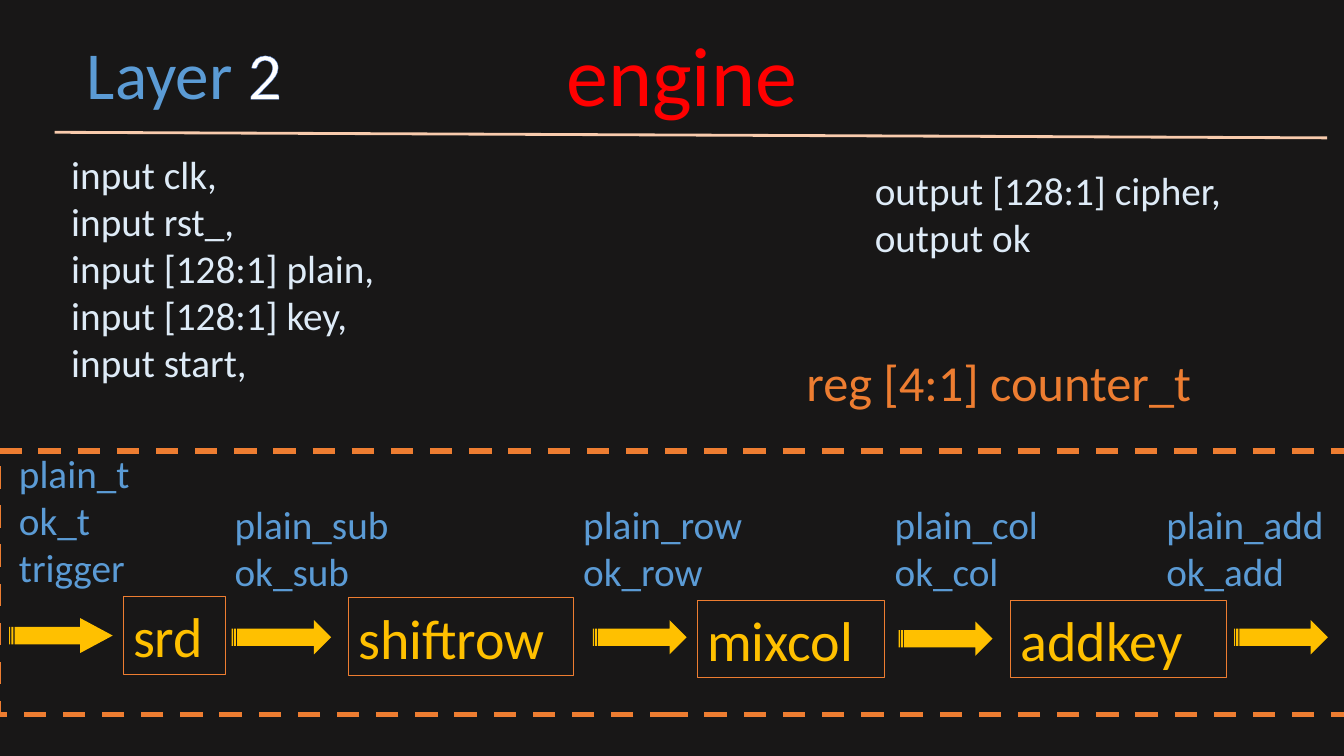
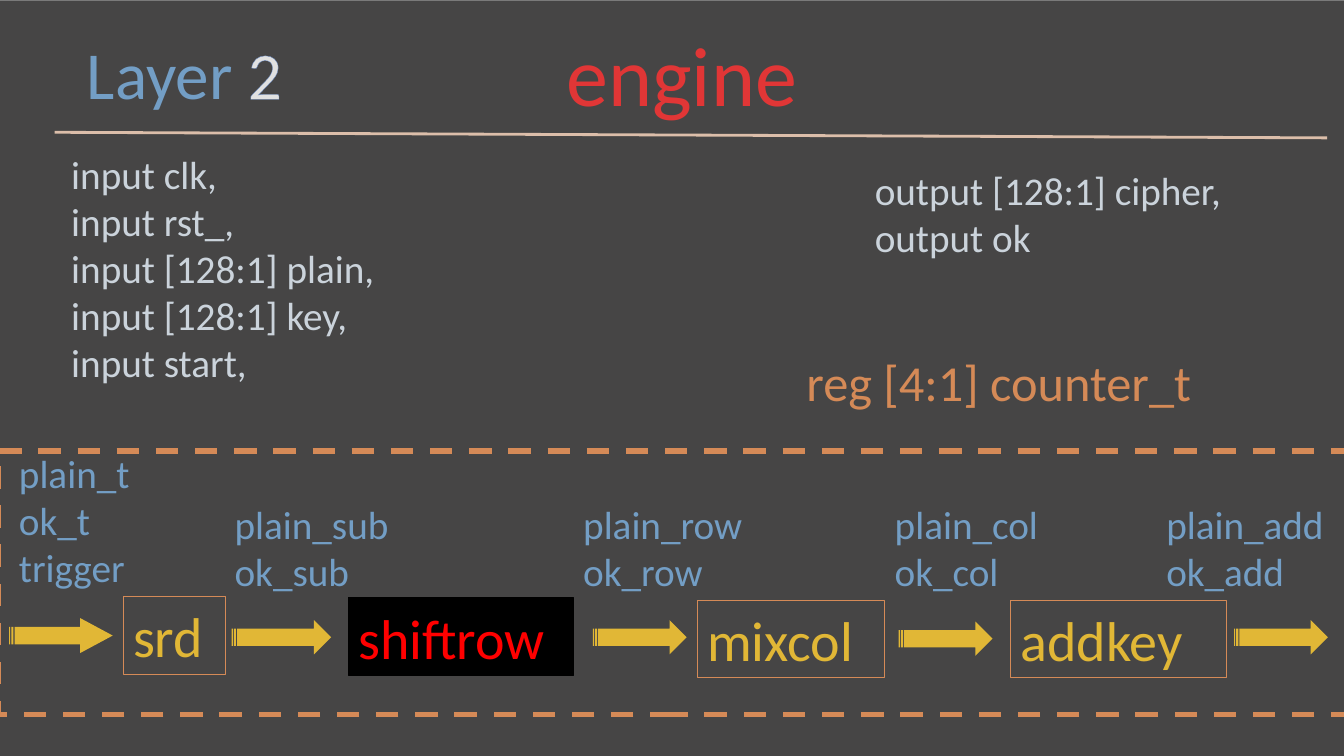
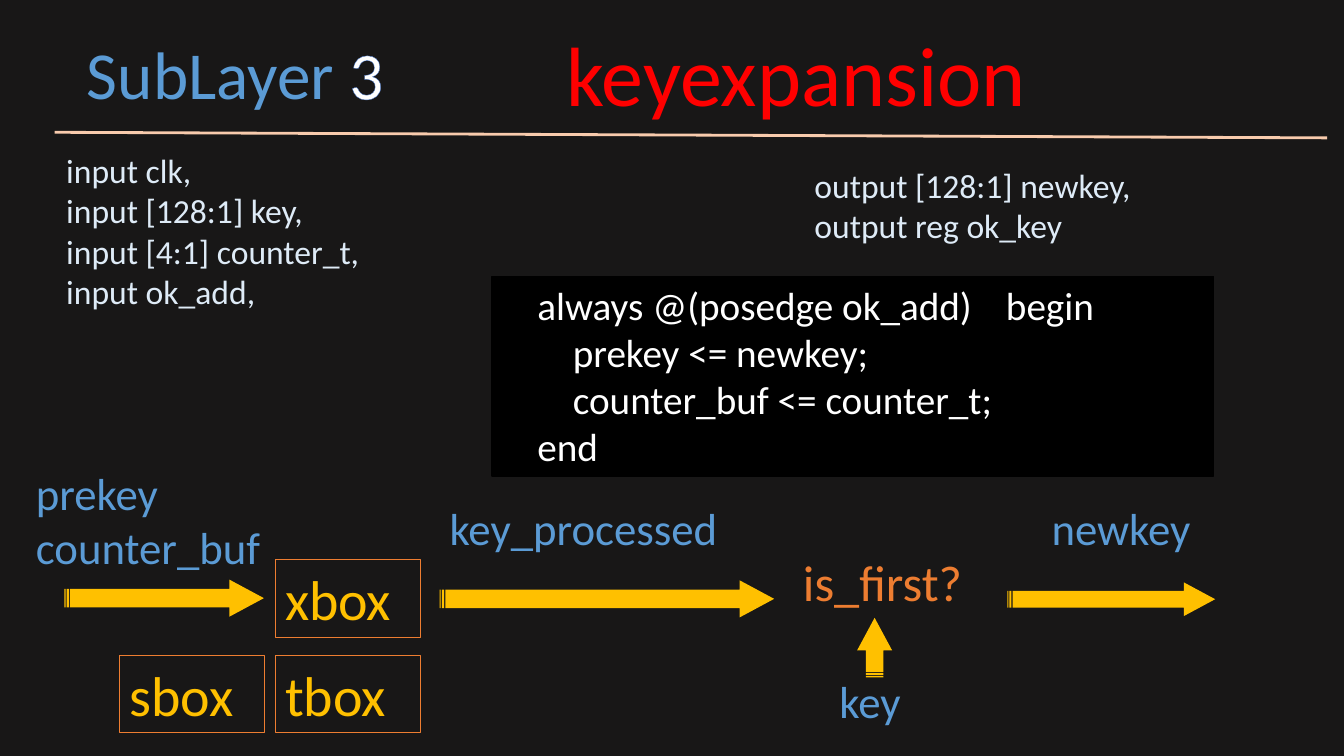
"""Build three slides that describe the layers of a cipher engine."""
from dataclasses import dataclass

from lxml.etree import SubElement
from pptx import Presentation
from pptx.dml.color import RGBColor
from pptx.enum.dml import MSO_LINE
from pptx.enum.shapes import MSO_CONNECTOR, MSO_SHAPE
from pptx.enum.text import MSO_ANCHOR, MSO_AUTO_SIZE, PP_ALIGN
from pptx.oxml import parse_xml
from pptx.oxml.ns import nsdecls, qn
from pptx.util import Pt


@dataclass(frozen=True)
class Theme:
    font: str = "Calibri"
    ground: str = "181717"
    signal: str = "5B9BD5"
    alert: str = "FF0000"
    port: str = "DEEBF7"
    rule: str = "F8CBAD"
    accent: str = "ED7D31"
    flow: str = "FFC000"
    white: str = "FFFFFF"
    black: str = "000000"
    number_outline: str = "4472C4"
    veil: str = "A5A5A5"
    veil_edge: str = "7A7A7A"
    title_size: int = 60
    layer_size: int = 48
    module_size: int = 40
    register_size: int = 36
    label_size: int = 32
    code_size: int = 28
    small_size: int = 24


THEME = Theme()
MODULE_HEIGHT = 55.5


def rgb(value):
    return RGBColor.from_string(value)


class Deck:
    def __init__(self):
        self.presentation = Presentation()
        self.presentation.slide_width = Pt(960)
        self.presentation.slide_height = Pt(540)
        ground = self.presentation.slide_master.background.fill
        ground.solid()
        ground.fore_color.rgb = rgb(THEME.ground)
        self.slide = None

    def new_slide(self, layer, number, title, layer_width, title_width):
        blank = self.presentation.slide_layouts[6]
        self.slide = self.presentation.slides.add_slide(blank)
        heading = self.text(layer + " ", 55, 19.5, layer_width, 65.5,
                            THEME.layer_size, THEME.signal)
        digit = self.run(heading.text_frame.paragraphs[0], number,
                         THEME.layer_size, THEME.white)
        digit.font._element.insert(0, parse_xml(
            f'<a:ln {nsdecls("a")} w="{Pt(0.8)}"><a:solidFill>'
            f'<a:srgbClr val="{THEME.number_outline}"/></a:solidFill></a:ln>'))
        self.text(title, 397.5, 12.5, title_width, 80,
                  THEME.title_size, THEME.alert)
        self.rule(39, 94.5, 948, 98.5)

    def run(self, paragraph, words, size, color):
        run = paragraph.add_run()
        run.text = words
        run.font.name = THEME.font
        run.font.size = Pt(size)
        run.font.color.rgb = rgb(color)
        return run

    def put_lines(self, shape, words, size, color, wrap=False):
        frame = shape.text_frame
        frame.word_wrap = wrap
        frame.auto_size = MSO_AUTO_SIZE.SHAPE_TO_FIT_TEXT
        for index, line in enumerate(words.split("\n")):
            paragraph = frame.add_paragraph() if index else frame.paragraphs[0]
            paragraph.alignment = PP_ALIGN.LEFT
            self.run(paragraph, line, size, color)

    def text(self, words, left, top, width, height, size, color):
        box = self.slide.shapes.add_textbox(
            Pt(left), Pt(top), Pt(width), Pt(height))
        self.put_lines(box, words, size, color)
        return box

    def shape(self, preset, left, top, width, height,
              fill=None, line=None, weight=1):
        shape = self.slide.shapes.add_shape(
            preset, Pt(left), Pt(top), Pt(width), Pt(height))
        shape.shadow.inherit = False
        if fill:
            shape.fill.solid()
            shape.fill.fore_color.rgb = rgb(fill)
        else:
            shape.fill.background()
        if line:
            shape.line.color.rgb = rgb(line)
            shape.line.width = Pt(weight)
        else:
            shape.line.fill.background()
        return shape

    def rule(self, left, top, right, bottom):
        line = self.slide.shapes.add_connector(
            MSO_CONNECTOR.STRAIGHT, Pt(left), Pt(top), Pt(right), Pt(bottom))
        line.line.color.rgb = rgb(THEME.rule)
        line.line.width = Pt(2)
        SubElement(line._element.spPr, qn("a:effectLst"))

    def module(self, name, left, top, width, active=False):
        if active:
            look, color = (THEME.black, THEME.black, 1), THEME.alert
        else:
            look, color = (None, THEME.accent, 0.5), THEME.flow
        box = self.shape(MSO_SHAPE.RECTANGLE, left, top, width,
                         MODULE_HEIGHT, *look)
        self.put_lines(box, name, THEME.module_size, color, wrap=True)
        box.text_frame.vertical_anchor = MSO_ANCHOR.MIDDLE

    def arrow(self, left, top, width, height, head=0.93, rotation=0):
        arrow = self.shape(MSO_SHAPE.STRIPED_RIGHT_ARROW,
                           left, top, width, height, THEME.flow)
        arrow.adjustments[1] = head
        arrow.rotation = rotation

    def code(self, words, left, top, width, height):
        panel = self.shape(MSO_SHAPE.RECTANGLE, left, top, width, height,
                           THEME.black, THEME.black)
        self.put_lines(panel, words, THEME.code_size, THEME.white)
        panel.text_frame.vertical_anchor = MSO_ANCHOR.TOP

    def dashed_band(self, top, height):
        band = self.shape(MSO_SHAPE.RECTANGLE, -1.5, top, 964, height,
                          line=THEME.accent, weight=4)
        band.line.dash_style = MSO_LINE.DASH

    def veil(self):
        veil = self.shape(MSO_SHAPE.RECTANGLE, -13, 0.5, 979, 543.5,
                          THEME.veil, THEME.veil_edge)
        color = veil._element.spPr.find(qn("a:solidFill")).find(qn("a:srgbClr"))
        SubElement(color, qn("a:alpha"), val="33000")


def engine_slide(deck, active=None):
    deck.new_slide("Layer", "2", "engine", 173, 193)
    deck.text("    input clk,\n    input rst_,\n    input [128:1] plain,\n"
              "    input [128:1] key,\n    input start,",
              18.5, 103.5, 276, 177, THEME.code_size, THEME.port)
    deck.text("reg [4:1] counter_t", 569, 247, 307, 51,
              THEME.register_size, THEME.accent)
    deck.text("    output [128:1] cipher,\n    output ok",
              592.5, 115, 312.5, 75, THEME.code_size, THEME.port)

    modules = {"srd": (88, 426, 73), "shiftrow": (249, 427, 160.5),
               "mixcol": (498, 428.5, 134), "addkey": (722, 428.5, 154)}
    for name, place in modules.items():
        if name != active:
            deck.module(name, *place)

    deck.arrow(6.5, 441.5, 74, 25)
    for left, top, width in ((165.5, 443, 71), (423.5, 443, 67),
                             (642, 444, 67), (881.5, 443, 67)):
        deck.arrow(left, top, width, 24.5, head=0.5)

    deck.text("plain_t\nok_t\ntrigger", 6.5, 317.5, 96.5, 109,
              THEME.code_size, THEME.signal)
    for stage, left, width in (("sub", 160.5, 134), ("row", 409.5, 134.5),
                               ("col", 632, 125.5), ("add", 826, 136)):
        deck.text(f"plain_{stage}\nok_{stage}", left, 353.5, width, 75,
                  THEME.code_size, THEME.signal)
    deck.dashed_band(322, 188.5)

    if active:
        deck.veil()
        deck.module(active, *modules[active], active=True)


def key_expansion_slide(deck):
    deck.new_slide("SubLayer", "3", "keyexpansion", 259, 383)
    deck.text("    input clk,\n    input [128:1] key,\n"
              "    input [4:1] counter_t,\n    input ok_add,",
              18.5, 103.5, 262, 124, THEME.small_size, THEME.port)
    deck.text("    output [128:1] newkey,\n    output reg ok_key",
              553, 114, 285, 65.5, THEME.small_size, THEME.port)

    for name, left, top in (("xbox", 196.5, 399.5), ("tbox", 196.5, 468),
                            ("sbox", 85.5, 468)):
        deck.module(name, left, top, 103.5)

    deck.arrow(46, 414, 142.5, 26.5)
    deck.arrow(314, 414.5, 239, 26.5)
    deck.arrow(719.5, 416, 148.5, 24)
    deck.arrow(603.5, 450, 42.5, 25, rotation=270)

    for words, left, top, width, height in (
            ("prekey\ncounter_buf", 18.5, 329, 186, 85),
            ("key_processed", 314, 354, 231, 46),
            ("newkey", 744, 354, 123, 46),
            ("key", 592.5, 477.5, 64, 46)):
        deck.text(words, left, top, width, height,
                  THEME.label_size, THEME.signal)
    deck.text("is_first?", 566.5, 390, 138, 51,
              THEME.register_size, THEME.accent)
    deck.code("    always @(posedge ok_add) \tbegin\n"
              "        prekey <= newkey;\n"
              "        counter_buf <= counter_t;\n    end",
              351.5, 197.5, 515.5, 142.5)


def main():
    deck = Deck()
    engine_slide(deck)
    engine_slide(deck, active="shiftrow")
    key_expansion_slide(deck)
    deck.presentation.save("out.pptx")


if __name__ == "__main__":
    main()
